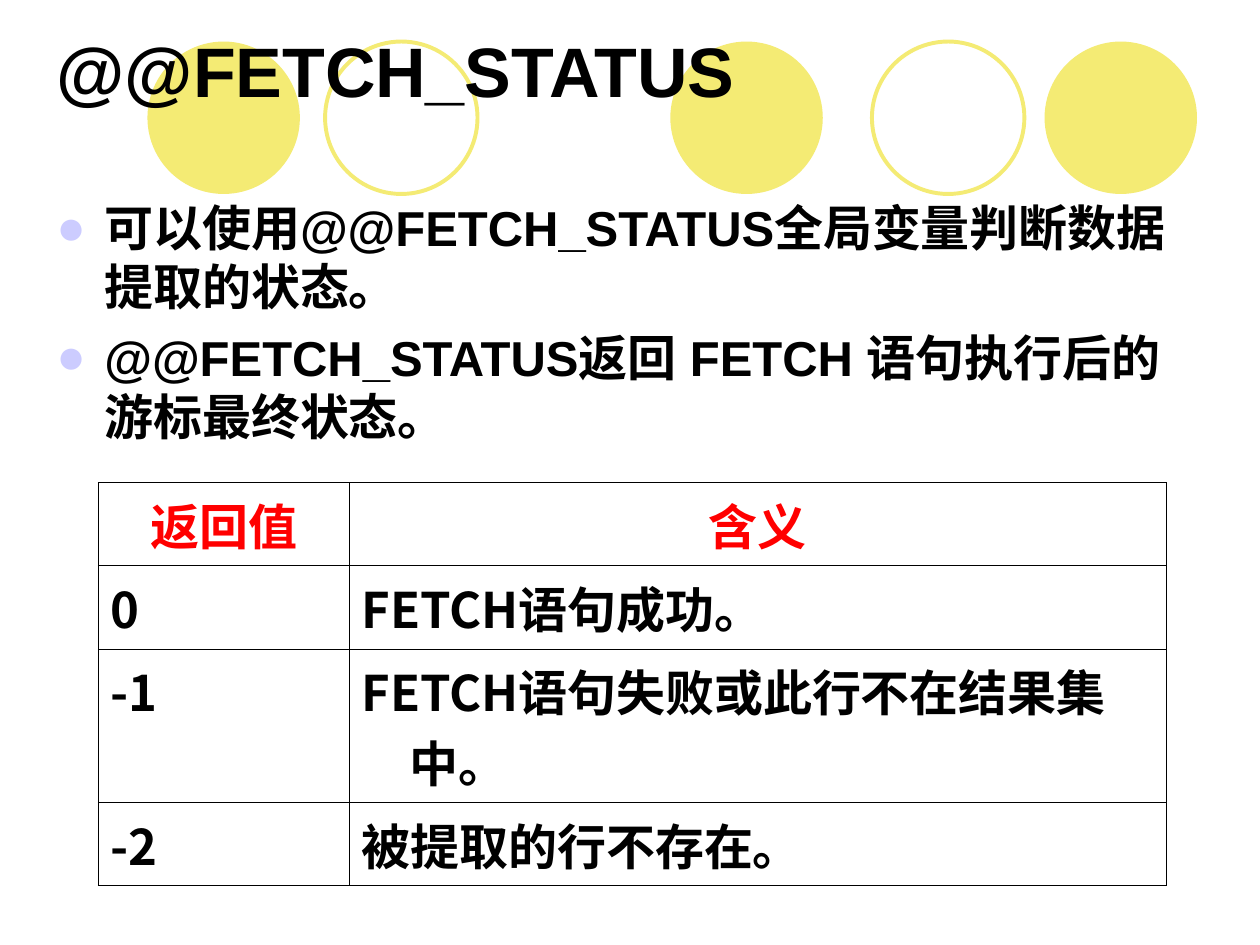
from lxml.etree import SubElement
from pptx import Presentation
from pptx.dml.color import RGBColor
from pptx.enum.lang import MSO_LANGUAGE_ID as Language
from pptx.enum.shapes import MSO_SHAPE as Shape
from pptx.enum.text import MSO_ANCHOR as Anchor, MSO_AUTO_SIZE as AutoSize, PP_ALIGN as Align
from pptx.oxml.ns import qn
from pptx.util import Inches, Pt

BLACK = RGBColor(0x00, 0x00, 0x00)
RED = RGBColor(0xFF, 0x00, 0x00)
YELLOW = RGBColor(0xF4, 0xEB, 0x74)
LAVENDER = RGBColor(0xCC, 0xCC, 0xFF)
BODY_FONT = "Arial"
TABLE_FONT = "Noto Sans CJK SC"
CIRCLES = [(5.32, True), (8.29, True), (1.17, True), (6.92, False), (2.58, False)]
POINTS = [
    "可以使用@@FETCH_STATUS全局变量判断数据提取的状态。",
    "@@FETCH_STATUS返回 FETCH 语句执行后的游标最终状态。",
]
RETURN_VALUES = [
    ("返回值", "含义"),
    ("0", "FETCH语句成功。"),
    ("-1", "FETCH语句失败或此行不在结果集中。"),
    ("-2", "被提取的行不存在。"),
]
COLUMN_WIDTHS = [1.99, 6.49]
ROW_HEIGHTS = [0.66, 0.66, 1.22, 0.66]


def style_text(paragraph, size, typeface, color=BLACK):
    """Make the runs of a paragraph bold in one typeface for both scripts."""
    for run in paragraph.runs:
        font = run.font
        font.size, font.bold, font.name = Pt(size), True, typeface
        font.color.rgb = color
        font.language_id = Language.SIMPLIFIED_CHINESE
        SubElement(font._element, qn("a:ea"), typeface=typeface)


def hang_indent(paragraph):
    """Give a paragraph a hanging indent and return its properties."""
    properties = paragraph._p.get_or_add_pPr()
    properties.set("marL", str(Inches(0.38)))
    properties.set("indent", str(Inches(-0.38)))
    return properties


def add_circle(slide, left, filled):
    """Add one decorative circle, solid or outlined."""
    circle = slide.shapes.add_shape(
        Shape.OVAL, Inches(left), Inches(0.33), Inches(1.21), Inches(1.21))
    circle.shadow.inherit = False
    if filled:
        circle.fill.solid()
        circle.fill.fore_color.rgb = YELLOW
        circle.line.fill.background()
    else:
        circle.fill.background()
        circle.line.color.rgb = YELLOW
        circle.line.width = Pt(2.25)


def set_title(slide, heading):
    """Place the title in front of the circles."""
    title = slide.shapes.title
    title.element.getparent().append(title.element)
    title.left, title.top = Inches(0.35), Inches(0.16)
    title.width, title.height = Inches(9.34), Inches(0.78)
    frame = title.text_frame
    frame.text = heading
    frame.auto_size = AutoSize.NONE
    frame.vertical_anchor = Anchor.MIDDLE
    frame.paragraphs[0].alignment = Align.LEFT
    style_text(frame.paragraphs[0], 40, BODY_FONT)


def add_points(slide, points):
    """Add the bulleted explanation."""
    body = slide.shapes.add_textbox(Inches(0.35), Inches(1.52), Inches(9.03), Inches(2.3))
    frame = body.text_frame
    frame.word_wrap = True
    frame.text = "\n".join(points)
    for index, paragraph in enumerate(frame.paragraphs):
        properties = hang_indent(paragraph)
        bullet_color = SubElement(properties, qn("a:buClr"))
        SubElement(bullet_color, qn("a:srgbClr"), val=str(LAVENDER))
        SubElement(properties, qn("a:buFont"), typeface=BODY_FONT)
        SubElement(properties, qn("a:buChar"), char="●")
        if index:
            paragraph.space_before = Pt(7)
        style_text(paragraph, 28, BODY_FONT)


def add_borders(cell):
    """Draw a thin black line on each side of a cell."""
    properties = cell._tc.get_or_add_tcPr()
    for side in ("lnL", "lnR", "lnT", "lnB"):
        border = SubElement(properties, qn(f"a:{side}"), w=str(Pt(0.45)))
        fill = SubElement(border, qn("a:solidFill"))
        SubElement(fill, qn("a:srgbClr"), val=str(BLACK))


def add_return_table(slide, rows):
    """Add the table of return values and meanings."""
    table = slide.shapes.add_table(
        len(rows), len(COLUMN_WIDTHS), Inches(0.78), Inches(3.83),
        Inches(sum(COLUMN_WIDTHS)), Inches(sum(ROW_HEIGHTS))).table
    table.first_row = table.horz_banding = False
    for column, width in zip(table.columns, COLUMN_WIDTHS):
        column.width = Inches(width)
    for row_index, (row, height) in enumerate(zip(rows, ROW_HEIGHTS)):
        table.rows[row_index].height = Inches(height)
        for column_index, text in enumerate(row):
            cell = table.cell(row_index, column_index)
            cell.text_frame.text = text
            add_borders(cell)
            cell.fill.background()
            paragraph = cell.text_frame.paragraphs[0]
            hang_indent(paragraph)
            paragraph.alignment = Align.LEFT if row_index else Align.CENTER
            style_text(paragraph, 28, TABLE_FONT, BLACK if row_index else RED)


def main():
    """Build and save the slide."""
    presentation = Presentation()
    presentation.slide_width, presentation.slide_height = Inches(10), Inches(7.5)
    slide = presentation.slides.add_slide(presentation.slide_layouts[5])
    for left, filled in CIRCLES:
        add_circle(slide, left, filled)
    set_title(slide, "@@FETCH_STATUS")
    add_points(slide, POINTS)
    add_return_table(slide, RETURN_VALUES)
    presentation.save("out.pptx")


if __name__ == "__main__":
    main()
